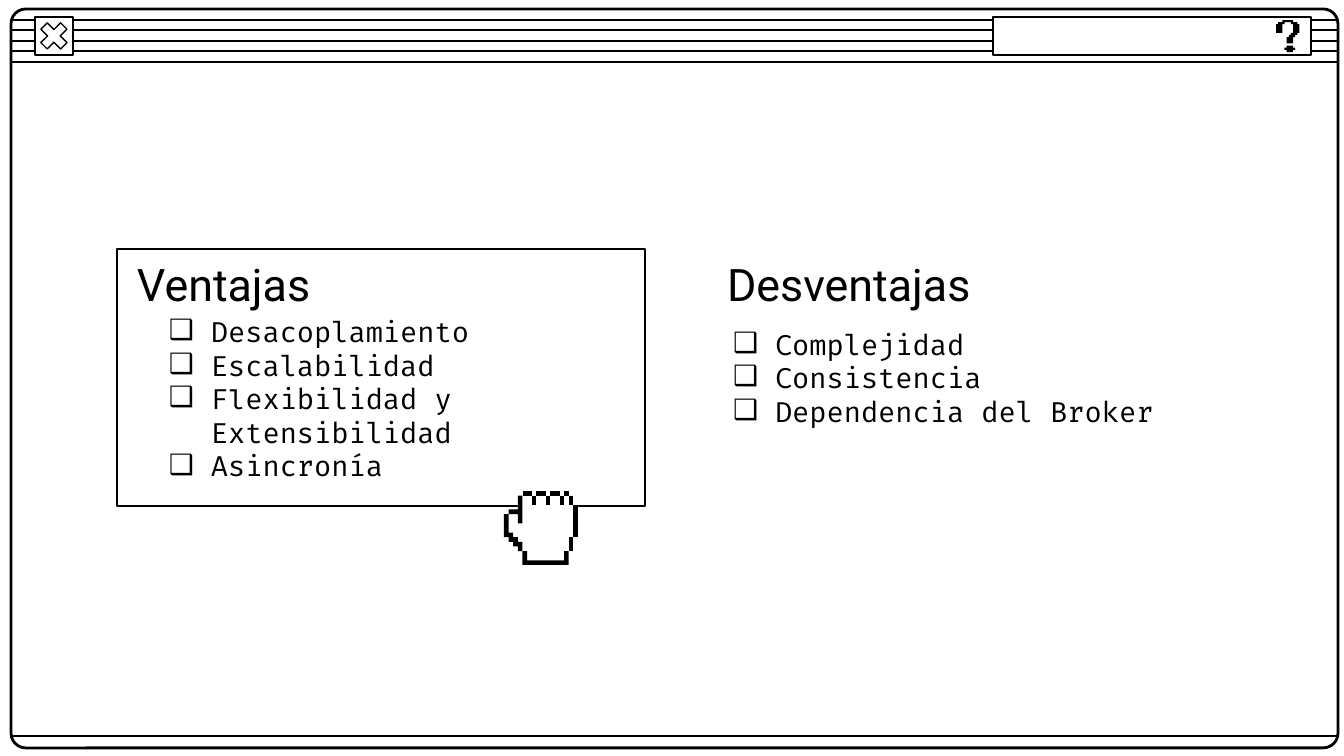
from lxml.etree import SubElement
from pptx import Presentation
from pptx.dml.color import RGBColor
from pptx.enum.shapes import MSO_CONNECTOR, MSO_SHAPE
from pptx.enum.text import MSO_ANCHOR
from pptx.oxml.ns import qn
from pptx.util import Emu, Pt

BLACK = RGBColor(0, 0, 0)
WHITE = RGBColor(255, 255, 255)
SCALE = 914400 / 134.4
SLIDE = (1344, 756)
INDENT = 42
INSET = 13

HEADINGS = [
    ("Ventajas", (124, 251, 499, 66)),
    ("Desventajas", (714, 251, 499, 66)),
]
ADVANTAGES = (
    ["Desacoplamiento", "Escalabilidad", "Flexibilidad y Extensibilidad", "Asincronía"],
    (156, 311, 476, 175),
)
DRAWBACKS = (
    ["Complejidad", "Consistencia", "Dependencia del Broker"],
    (720, 325, 499, 105),
)
HEADING_FONT = {"name": "Roboto", "size": Pt(24)}
LIST_FONT = {"name": "Fira Code", "size": Pt(15)}

WINDOW = (11, 9, 1327, 739)
CLOSE_BUTTON = (35, 17, 38, 38)
HELP_FIELD = (993, 17, 318, 38)
ADVANTAGES_FRAME = (117, 249, 528, 257)
TITLE_BAR_LINES = [20 + 21 * i // 2 for i in range(5)]
FOOTER_LINE = 736

QUESTION_ORIGIN = (1276, 20)
QUESTION_CELL = 32 / 15
QUESTION_DOT = [
    (5, 12), (5, 13), (4, 13), (4, 14), (5, 14), (5, 15),
    (8, 15), (8, 14), (9, 14), (9, 13), (8, 13), (8, 12),
]
QUESTION_HOOK = [
    (3, 0), (3, 1), (1, 1), (1, 2), (0, 2), (0, 6), (3, 6), (3, 2),
    (4, 2), (4, 1), (7, 1), (7, 2), (8, 2), (8, 6), (7, 6), (7, 7),
    (6, 7), (6, 8), (5, 8), (5, 11), (8, 11), (8, 8), (9, 8), (9, 7),
    (10, 7), (10, 6), (11, 6), (11, 2), (10, 2), (10, 1), (8, 1), (8, 0),
]

HAND_ORIGIN = (504, 491)
HAND_CELL = 74 / 16
HAND_FILL = [
    (4, 0), (4, 1), (3, 1), (3, 4), (1, 4), (1, 5), (0, 5), (0, 10),
    (1, 10), (1, 11), (2, 11), (2, 12), (3, 12), (3, 13), (4, 13), (4, 16),
    (14, 16), (14, 13), (15, 13), (15, 10), (16, 10), (16, 3), (15, 3),
    (15, 1), (14, 1), (14, 0), (13, 0), (13, 1), (12, 1), (12, 0), (10, 0),
    (10, 1), (9, 1), (9, 0), (7, 0), (7, 1), (6, 1), (6, 0),
]
HAND_BLOCKS = [
    (14, 1, 1, 2), (12, 1, 1, 2), (9, 1, 1, 2), (6, 1, 1, 2),
    (15, 3, 1, 7), (14, 10, 1, 3),
    (4, 0, 2, 1), (7, 0, 2, 1), (10, 0, 2, 1), (13, 0, 1, 1),
]
HAND_WRIST = [(4, 13), (4, 16), (14, 16), (14, 13), (13, 13), (13, 15), (5, 15), (5, 13)]
HAND_THUMB_TOP = [(3, 1), (3, 4), (1, 4), (1, 5), (3, 5), (3, 7), (4, 7), (4, 1)]
HAND_THUMB_SIDE = [
    (0, 5), (0, 10), (1, 10), (1, 11), (2, 11), (2, 12), (3, 12), (3, 13),
    (4, 13), (4, 11), (3, 11), (3, 10), (2, 10), (2, 9), (1, 9), (1, 5),
]


def px(*lengths):
    return [Emu(round(length * SCALE)) for length in lengths]


def apply_format(target, values):
    for attribute, value in values.items():
        setattr(target, attribute, value)


def set_fill(shape, color):
    if color is None:
        shape.fill.background()
    else:
        shape.fill.solid()
        shape.fill.fore_color.rgb = color


def add_outlined(preset, box, width, color=None, adjustment=None):
    shape = slide.shapes.add_shape(preset, *px(*box))
    shape.shadow.inherit = False
    set_fill(shape, color)
    shape.line.color.rgb = BLACK
    shape.line.width = Pt(width)
    if adjustment is not None:
        shape.adjustments[0] = adjustment


def add_rule(y):
    rule = slide.shapes.add_connector(MSO_CONNECTOR.STRAIGHT, *px(11, y, 1337, y))
    rule.line.color.rgb = BLACK
    rule.line.width = Pt(0.75)
    SubElement(rule._element.spPr, qn("a:effectLst"))


def add_pixel_art(points, origin, cell, color=BLACK):
    builder = slide.shapes.build_freeform(*points[0], scale=cell * SCALE)
    builder.add_line_segments(points[1:], close=True)
    shape = builder.convert_to_shape(*px(*origin))
    shape.shadow.inherit = False
    set_fill(shape, color)
    shape.line.fill.background()


def block_outline(x, y, width, height):
    return [(x, y), (x, y + height), (x + width, y + height), (x + width, y)]


def add_bullet(paragraph):
    properties = paragraph._p.get_or_add_pPr()
    indent = px(INDENT)[0]
    properties.set("marL", str(indent))
    properties.set("indent", str(-indent))
    bullet_color = SubElement(properties, qn("a:buClr"))
    SubElement(bullet_color, qn("a:srgbClr"), val=str(BLACK))
    SubElement(properties, qn("a:buFont"), typeface=LIST_FONT["name"])
    SubElement(properties, qn("a:buChar"), char="❑")


def add_text(lines, box, font, bulleted=False):
    frame = slide.shapes.add_textbox(*px(*box)).text_frame
    inset = px(INSET)[0]
    sides = ("left", "top", "right", "bottom")
    apply_format(frame, {f"margin_{side}": inset for side in sides})
    apply_format(frame, {"word_wrap": True, "vertical_anchor": MSO_ANCHOR.MIDDLE})
    frame.text = "\n".join(lines)
    for paragraph in frame.paragraphs:
        run_font = paragraph.runs[0].font
        apply_format(run_font, font)
        run_font.color.rgb = BLACK
        if bulleted:
            add_bullet(paragraph)


presentation = Presentation()
presentation.slide_width, presentation.slide_height = px(*SLIDE)
slide = presentation.slides.add_slide(presentation.slide_layouts[6])

for line_y in TITLE_BAR_LINES:
    add_rule(line_y)
add_outlined(MSO_SHAPE.ROUNDED_RECTANGLE, WINDOW, 1.5, adjustment=0.02)
add_outlined(MSO_SHAPE.RECTANGLE, CLOSE_BUTTON, 0.75, WHITE)
add_outlined(MSO_SHAPE.MATH_MULTIPLY, CLOSE_BUTTON, 0.75, WHITE, 0.235)
add_rule(FOOTER_LINE)
add_outlined(MSO_SHAPE.RECTANGLE, HELP_FIELD, 0.75, WHITE)
for question_part in (QUESTION_DOT, QUESTION_HOOK):
    add_pixel_art(question_part, QUESTION_ORIGIN, QUESTION_CELL)

add_outlined(MSO_SHAPE.RECTANGLE, ADVANTAGES_FRAME, 1.5)
add_text(*ADVANTAGES, LIST_FONT, bulleted=True)
for heading, heading_box in HEADINGS:
    add_text([heading], heading_box, HEADING_FONT)
add_text(*DRAWBACKS, LIST_FONT, bulleted=True)

add_pixel_art(HAND_FILL, HAND_ORIGIN, HAND_CELL, WHITE)
hand_lines = [block_outline(*block) for block in HAND_BLOCKS]
for hand_part in hand_lines + [HAND_WRIST, HAND_THUMB_TOP, HAND_THUMB_SIDE]:
    add_pixel_art(hand_part, HAND_ORIGIN, HAND_CELL)

presentation.save("out.pptx")
